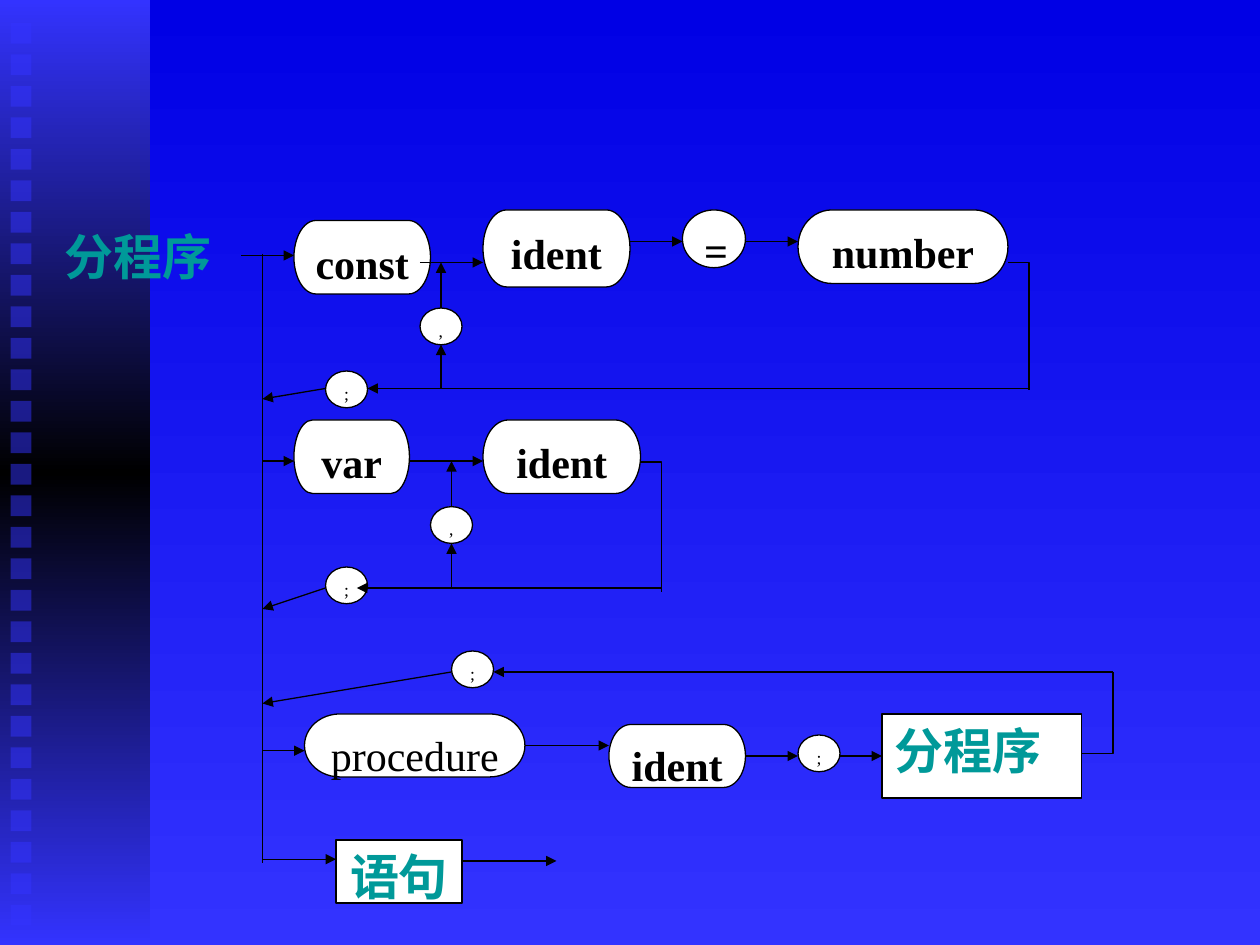
import copy

import pptx
import pptx.dml.color
import pptx.enum.shapes
import pptx.enum.text
import pptx.oxml.ns
import pptx.oxml.xmlchemy
import pptx.util

Pt = pptx.util.Pt
RGBColor = pptx.dml.color.RGBColor
SHAPE = pptx.enum.shapes.MSO_SHAPE
ALIGN = pptx.enum.text.PP_ALIGN

BLACK = RGBColor(0x00, 0x00, 0x00)
WHITE = RGBColor(0xFF, 0xFF, 0xFF)
DEEP_BLUE = RGBColor(0x00, 0x00, 0xE5)
BLUE = RGBColor(0x33, 0x33, 0xFF)
TEAL = RGBColor(0x00, 0x99, 0x99)

LATIN_FONT = "Times New Roman"
CHINESE_FONT = "Noto Sans CJK SC"
CIRCLE_WIDTH, CIRCLE_HEIGHT = 24, 21
RAIL = 150


def add_element(parent, tag, **attributes):
    element = pptx.oxml.xmlchemy.OxmlElement(tag)
    for name, value in attributes.items():
        element.set(name, value)
    parent.append(element)
    return element


def write_text(shape, text, size=24, bold=True, color=BLACK, align=ALIGN.CENTER,
               font=LATIN_FONT):
    frame = shape.text_frame
    frame.word_wrap = True
    frame.vertical_anchor = pptx.enum.text.MSO_ANCHOR.TOP
    paragraph = frame.paragraphs[0]
    paragraph.alignment = align
    run = paragraph.add_run()
    run.text = text
    run.font.size = Pt(size)
    run.font.bold = bold
    run.font.name = font
    run.font.color.rgb = color
    add_element(run.font._element, "a:ea", typeface=CHINESE_FONT)


def fill_gradient(fill, *colors):
    """Spread the colours evenly from top to bottom."""
    fill.gradient()
    fill.gradient_angle = 270
    stops = fill.gradient_stops
    stop_list = fill._xPr.find(pptx.oxml.ns.qn("a:gradFill")).gsLst
    for _ in range(len(colors) - len(stops)):
        stop_list.append(copy.deepcopy(stop_list[0]))
    for index, (stop, color) in enumerate(zip(fill.gradient_stops, colors)):
        stop.color.rgb = color
        stop.position = index / (len(colors) - 1)


def add_box(slide, kind, left, top, width, height):
    shape = slide.shapes.add_shape(kind, Pt(left), Pt(top), Pt(width), Pt(height))
    shape.shadow.inherit = False
    return shape


def add_node(slide, kind, left, top, width, height, text, **text_format):
    shape = add_box(slide, kind, left, top, width, height)
    shape.fill.solid()
    shape.fill.fore_color.rgb = WHITE
    shape.line.color.rgb = BLACK
    shape.line.width = Pt(0.75)
    write_text(shape, text, **text_format)
    return shape


def add_terminal(slide, left, top, width, height, text, **text_format):
    return add_node(slide, SHAPE.FLOWCHART_TERMINATOR, left, top, width, height,
                    text, **text_format)


def add_process(slide, left, top, width, height, text, align):
    return add_node(slide, SHAPE.FLOWCHART_PROCESS, left, top, width, height,
                    text, size=28, color=TEAL, align=align)


def add_circle(slide, left, top, text):
    return add_node(slide, SHAPE.FLOWCHART_CONNECTOR, left, top, CIRCLE_WIDTH,
                    CIRCLE_HEIGHT, text, size=10, bold=False, align=ALIGN.JUSTIFY)


def add_line(slide, x1, y1, x2, y2, arrow=True):
    line = slide.shapes.add_connector(
        pptx.enum.shapes.MSO_CONNECTOR.STRAIGHT, Pt(x1), Pt(y1), Pt(x2), Pt(y2))
    line.line.color.rgb = BLACK
    line.line.width = Pt(0.75)
    if arrow:
        add_element(line.line._get_or_add_ln(), "a:tailEnd", type="triangle")
    add_element(line._element.spPr, "a:effectLst")
    return line


def add_elbow(slide, *points):
    corners = [(Pt(x), Pt(y)) for x, y in points]
    builder = slide.shapes.build_freeform(*corners[0], scale=1.0)
    builder.add_line_segments(corners[1:], close=False)
    shape = builder.convert_to_shape()
    shape.shadow.inherit = False
    shape.fill.background()
    shape.line.color.rgb = BLACK
    shape.line.width = Pt(0.75)


def draw_return(slide, left, start, turn, end, circle_left, circle_top, rail_y):
    """Path from a row's last symbol back through a semicolon to the rail."""
    add_circle(slide, circle_left, circle_top, ";")
    add_elbow(slide, start, (turn[0], start[1]), turn)
    add_line(slide, turn[0], end[1], *end)
    add_line(slide, circle_left, end[1], left, rail_y)


def draw_comma_branch(slide, left, top, bottom, target):
    """Comma between the return path and the line to the identifier."""
    middle = left + CIRCLE_WIDTH / 2
    add_circle(slide, left, top, ",")
    add_line(slide, middle, bottom, middle, top + CIRCLE_HEIGHT)
    add_line(slide, middle, top, middle, target)


def draw_sidebar(slide, left, top, width, height):
    band = add_box(slide, SHAPE.RECTANGLE, left, top, width, height)
    fill_gradient(band.fill, BLUE, BLACK, BLUE)
    band.line.fill.background()
    for index in range(29):
        square = add_box(slide, SHAPE.RECTANGLE, left + 6, top + 13 + 18 * index, 12, 12)
        square.fill.solid()
        square.fill.fore_color.rgb = BLUE
        square.line.fill.background()
        color = square.fill._xPr.find(".//" + pptx.oxml.ns.qn("a:srgbClr"))
        add_element(color, "a:alpha", val="50000")


def draw_heading(slide, left, top, width, height):
    box = slide.shapes.add_textbox(Pt(left), Pt(top), Pt(width), Pt(height))
    write_text(box, "分程序", size=28, color=TEAL, align=ALIGN.LEFT, font=CHINESE_FONT)


def draw_const_row(slide, left, top):
    add_terminal(slide, left + 18, top + 6, 78, 42, "const")
    add_terminal(slide, left + 126, top, 84, 44, "ident")
    add_node(slide, SHAPE.FLOWCHART_CONNECTOR, left + 240, top, 36, 33, "=",
             align=ALIGN.JUSTIFY)
    add_terminal(slide, left + 306, top, 120, 42, "number")
    for start, end, y in ((-12, 18, 26), (90, 126, 30), (210, 240, 18), (276, 306, 18)):
        add_line(slide, left + start, top + y, left + end, top + y)
    draw_return(slide, left, (left + 426, top + 30), (left + 438, top + 103),
                (left + 60, top + 102), left + 36, top + 92, top + 108)
    draw_comma_branch(slide, left + 90, top + 56, top + 102, top + 30)


def draw_var_row(slide, left, top):
    add_terminal(slide, left + 18, top, 66, 42, "var")
    add_terminal(slide, left + 126, top, 90, 42, "ident")
    for start, end in ((0, 18), (84, 126)):
        add_line(slide, left + start, top + 23.5, left + end, top + 23.5)
    draw_return(slide, left, (left + 216, top + 24), (left + 228, top + 98),
                (left + 54, top + 96), left + 36, top + 84, top + 108)
    draw_comma_branch(slide, left + 96, top + 49.5, top + 96, top + 23.5)


def draw_procedure_row(slide, left, top):
    procedure = add_terminal(slide, left + 24, top + 36, 126, 36, "procedure", bold=False)
    ident = add_terminal(slide, left + 198, top + 42, 78, 36, "ident")
    add_circle(slide, left + 306, top + 48, ";")
    block = add_process(slide, left + 354, top + 36, 114, 48, "分程序", ALIGN.JUSTIFY)
    add_line(slide, left, top + 57, left + 24, top + 57)
    add_line(slide, left + 150, top + 54, left + 198, top + 54).begin_connect(procedure, 3)
    add_line(slide, left + 276, top + 60, left + 306, top + 60).begin_connect(ident, 3)
    add_line(slide, left + 330, top + 60, left + 354, top + 60).end_connect(block, 1)
    draw_return(slide, left, (left + 468, top + 58.5), (left + 486, top + 12),
                (left + 132, top + 12), left + 108, top, top + 30)


def draw_statement_row(slide, left, top):
    add_process(slide, left + 42, top, 72, 36, "语句", ALIGN.CENTER)
    add_line(slide, left, top + 11, left + 42, top + 11)
    add_line(slide, left + 114, top + 12, left + 168, top + 12)


def main():
    presentation = pptx.Presentation()
    presentation.slide_width, presentation.slide_height = Pt(720), Pt(540)
    slide = presentation.slides.add_slide(presentation.slide_layouts[6])
    fill_gradient(slide.background.fill, DEEP_BLUE, BLUE)
    draw_sidebar(slide, 0, 0, 86, 540)
    draw_heading(slide, 30, 126, 102, 41)
    # Rail that all rows branch from
    add_line(slide, RAIL, 145, RAIL, 493, arrow=False)
    draw_const_row(slide, RAIL, 120)
    draw_var_row(slide, RAIL, 240)
    draw_procedure_row(slide, RAIL, 372)
    draw_statement_row(slide, RAIL, 480)
    presentation.save("out.pptx")


if __name__ == "__main__":
    main()
